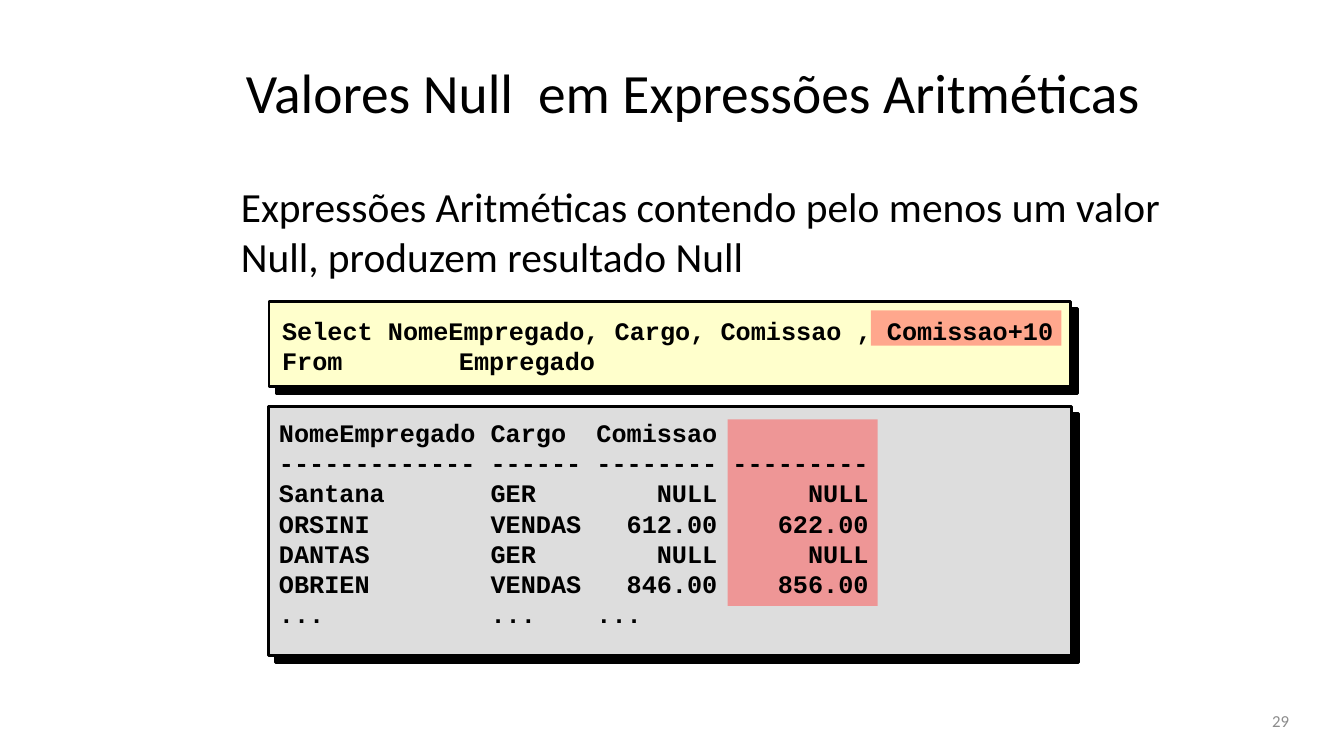
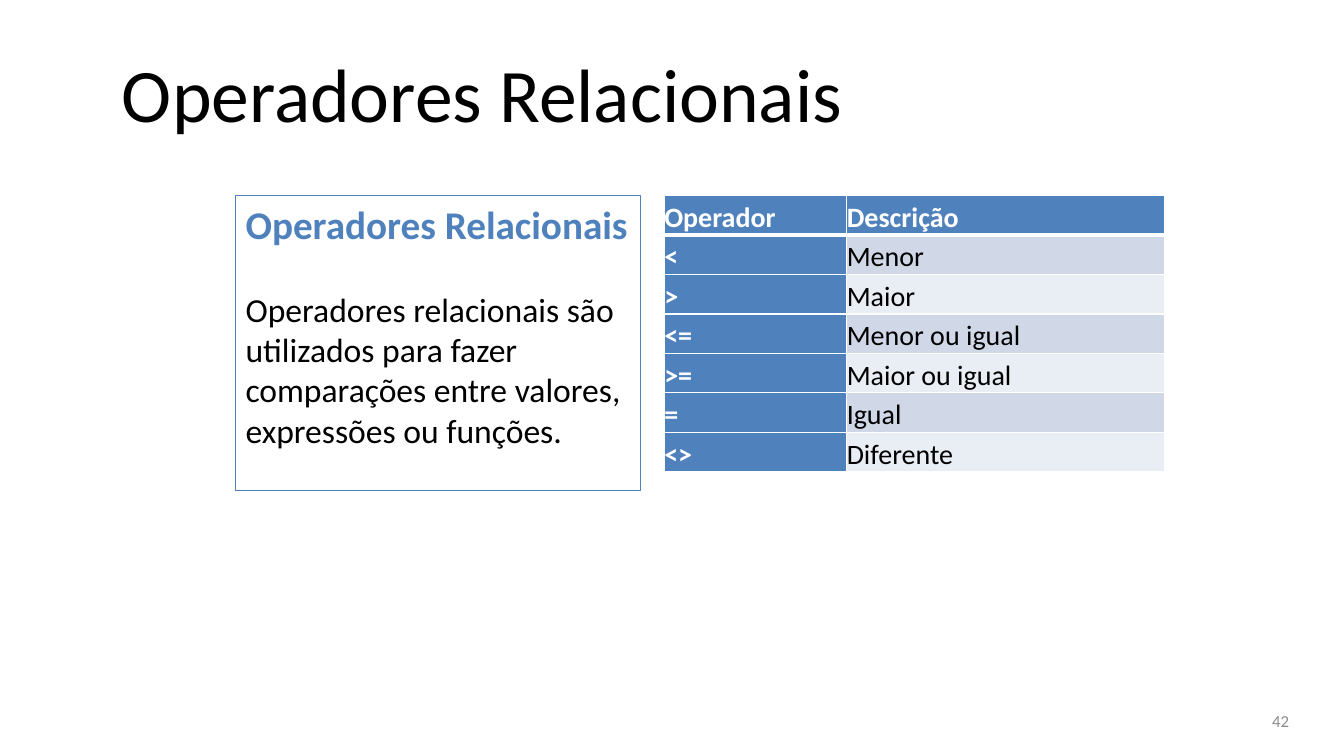
from dataclasses import dataclass

from lxml import etree
from pptx import Presentation
from pptx.dml.color import RGBColor
from pptx.enum.shapes import MSO_SHAPE
from pptx.enum.text import MSO_ANCHOR, MSO_AUTO_SIZE, PP_ALIGN
from pptx.oxml.ns import qn
from pptx.util import Cm, Pt

RECT = MSO_SHAPE.RECTANGLE
TOP, MID = MSO_ANCHOR.TOP, MSO_ANCHOR.MIDDLE
LEFT, RIGHT = PP_ALIGN.LEFT, PP_ALIGN.RIGHT
FIXED = MSO_AUTO_SIZE.NONE


@dataclass(frozen=True)
class Theme:
    text: str = "000000"
    blue: str = "4F81BD"
    white: str = "FFFFFF"
    gray: str = "8C8C8C"
    cream: str = "FFFFCC"
    silver: str = "DDDDDD"
    red: str = "FF5050"
    bands: tuple = ("D0D8E8", "E9EDF4")
    sans: str = "Calibri"
    mono: str = "Courier New"
    title: float = 54
    small: float = 39.6
    body: float = 29.6
    head: float = 28
    para: float = 24
    cell: float = 20
    code: float = 18
    foot: float = 12


THEME = Theme()
PITCH = Pt(10.8)


def assign(item, values):
    for name, value in values.items():
        setattr(item, name, value)


def child(node, tag, **values):
    return etree.SubElement(node, qn(tag), {k: str(v) for k, v in values.items()})


def color(node, code):
    return child(child(node, "a:solidFill"), "a:srgbClr", val=code)


class Deck:
    def __init__(self, theme):
        self.theme = theme
        self.file = Presentation()
        assign(self.file, {"slide_width": Cm(33.87), "slide_height": Cm(19.05)})
        self.slide = None

    def page(self, title, box, size, number):
        self.slide = self.file.slides.add_slide(self.file.slide_layouts[5])
        shape = self.slide.shapes.title
        places = zip(("left", "top", "width", "height"), box)
        assign(shape, {name: Cm(value) for name, value in places})
        self.frame(shape, MID)
        self.put(shape.text_frame.paragraphs[0], title, size)
        self.text((24.84, 17.65, 7.9, 1.02), number, self.theme.foot, MID,
                  tint=self.theme.gray, align=RIGHT)

    def frame(self, shape, anchor):
        assign(shape.text_frame, {
            "word_wrap": True, "auto_size": FIXED, "vertical_anchor": anchor})

    def put(self, para, text, size, tint=None, bold=False, font=None, **style):
        assign(para, {"alignment": LEFT} | style)
        run = para.add_run()
        run.text = text
        assign(run.font, {
            "size": Pt(size), "bold": bold, "name": font or self.theme.sans})
        run.font.color.rgb = RGBColor.from_string(tint or self.theme.text)

    def text(self, box, text, size, anchor=TOP, tint=None, align=LEFT):
        shape = self.slide.shapes.add_textbox(*map(Cm, box))
        self.frame(shape, anchor)
        self.put(shape.text_frame.paragraphs[0], text, size, tint, alignment=align)

    def code(self, box, rows, anchor=TOP):
        shape = self.slide.shapes.add_textbox(*map(Cm, box))
        self.frame(shape, anchor)
        frame = shape.text_frame
        for index, (cells, stops) in enumerate(rows):
            para = frame.add_paragraph() if index else frame.paragraphs[0]
            self.put(para, "\t".join(cells), self.theme.code, bold=True,
                     font=self.theme.mono, line_spacing=Pt(21.6))
            if stops:
                tabs = child(para._p.get_or_add_pPr(), "a:tabLst")
                for place, side in stops:
                    child(tabs, "a:tab", pos=int(place * PITCH), algn=side)

    def rect(self, box, fill=None, line=None, width=2):
        shape = self.slide.shapes.add_shape(RECT, *map(Cm, box))
        shape.shadow.inherit = False
        if fill:
            shape.fill.solid()
            shape.fill.fore_color.rgb = RGBColor.from_string(fill)
        else:
            shape.fill.background()
        if line:
            shape.line.color.rgb = RGBColor.from_string(line)
            shape.line.width = Pt(width)
        else:
            shape.line.fill.background()
        return shape

    def card(self, box, fill):
        shape = self.rect(box, fill, self.theme.text)
        effects = shape._element.spPr.find(qn("a:effectLst"))
        shade = child(effects, "a:outerShdw", blurRad=0, dist=Pt(7.1),
                      dir=45 * 60000, algn="ctr", rotWithShape=0)
        child(shade, "a:srgbClr", val=self.theme.text)

    def mark(self, box):
        shape = self.rect(box, self.theme.red)
        tint = shape._element.spPr.find(qn("a:solidFill")).find(qn("a:srgbClr"))
        child(tint, "a:alpha", val=50000)

    def panel(self, box, head, body):
        theme = self.theme
        shape = self.rect(box, line=theme.blue, width=0.75)
        self.frame(shape, TOP)
        frame = shape.text_frame
        frame.margin_right = Cm(0.13)
        self.put(frame.paragraphs[0], head, theme.head, theme.blue, True,
                 space_after=Pt(29.3))
        self.put(frame.add_paragraph(), body, theme.para)

    def table(self, spot, widths, height, rows):
        theme = self.theme
        size = (sum(widths), height * len(rows))
        grid = self.slide.shapes.add_table(
            len(rows), len(widths), *map(Cm, spot + size)).table
        for column, width in zip(grid.columns, widths):
            column.width = Cm(width)
        for r, row in enumerate(rows):
            grid.rows[r].height = Cm(height)
            for c, text in enumerate(row):
                dark = r == 0 or c == 0
                cell = grid.cell(r, c)
                assign(cell, {"margin_left": 0, "margin_right": 0, "margin_top": 0,
                              "margin_bottom": 0, "vertical_anchor": MID})
                edges = {"L": 1, "R": 1, "T": 3 if r == 1 else 1, "B": 1 if r else 3}
                for side, width in edges.items():
                    color(child(cell._tc.get_or_add_tcPr(), "a:ln" + side,
                                w=Pt(width)), theme.white)
                cell.fill.solid()
                cell.fill.fore_color.rgb = RGBColor.from_string(
                    theme.blue if dark else theme.bands[(r - 1) % 2])
                self.put(cell.text_frame.paragraphs[0], text, theme.cell,
                         theme.white if dark else theme.text, dark,
                         line_spacing=1.15)


def nulls(deck):
    theme = deck.theme
    deck.page("Valores Null  em Expressões Aritméticas",
              (5.94, 0.64, 23.8, 3.33), theme.small, "29")
    deck.text((5.82, 4.44, 23.7, 2.51),
              "Expressões Aritméticas contendo pelo menos um valor Null, "
              "produzem resultado Null", theme.body)
    deck.card((6.78, 7.59, 20.19, 2.16), theme.cream)
    deck.card((6.76, 10.24, 20.24, 6.27), theme.silver)
    deck.mark((21.95, 7.82, 4.8, 0.89))
    deck.mark((18.34, 10.57, 3.78, 4.7))
    deck.code((6.86, 7.59, 20.24, 2.24), [
        (["Select NomeEmpregado, Cargo, Comissao , Comissao+10"], []),
        (["From", "Empregado"], [(11.7, "l")]),
    ], MID)
    stops = [(14, "l"), (29, "r"), (39, "r")]
    rows = [
        ["NomeEmpregado", "Cargo", "Comissao"],
        ["-" * 13, "-" * 6, "-" * 8, "-" * 9],
        ["Santana", "GER", "NULL", "NULL"],
        ["ORSINI", "VENDAS", "612.00", "622.00"],
        ["DANTAS", "GER", "NULL", "NULL"],
        ["OBRIEN", "VENDAS", "846.00", "856.00"],
    ]
    last = (["..."] * 3, [(14, "l"), (21, "l")])
    deck.code((6.78, 10.39, 20.19, 5.64), [(row, stops) for row in rows] + [last])


def signs(deck):
    name = "Operadores Relacionais"
    deck.page(name, (2.82, 0.74, 29.92, 3.18), deck.theme.title, "42")
    deck.table((16.74, 4.93), (4.6, 8), 0.94, [
        ("Operador", "Descrição"),
        ("<", "Menor"),
        (">", "Maior"),
        ("<=", "Menor ou igual"),
        (">=", "Maior ou igual"),
        ("=", "Igual"),
        ("<>", "Diferente"),
    ])
    deck.panel((5.94, 4.93, 10.21, 7.44), name,
               "Operadores relacionais são utilizados para fazer "
               "comparações entre valores, expressões ou funções.")


def main():
    deck = Deck(THEME)
    nulls(deck)
    signs(deck)
    deck.file.save("out.pptx")


if __name__ == "__main__":
    main()
